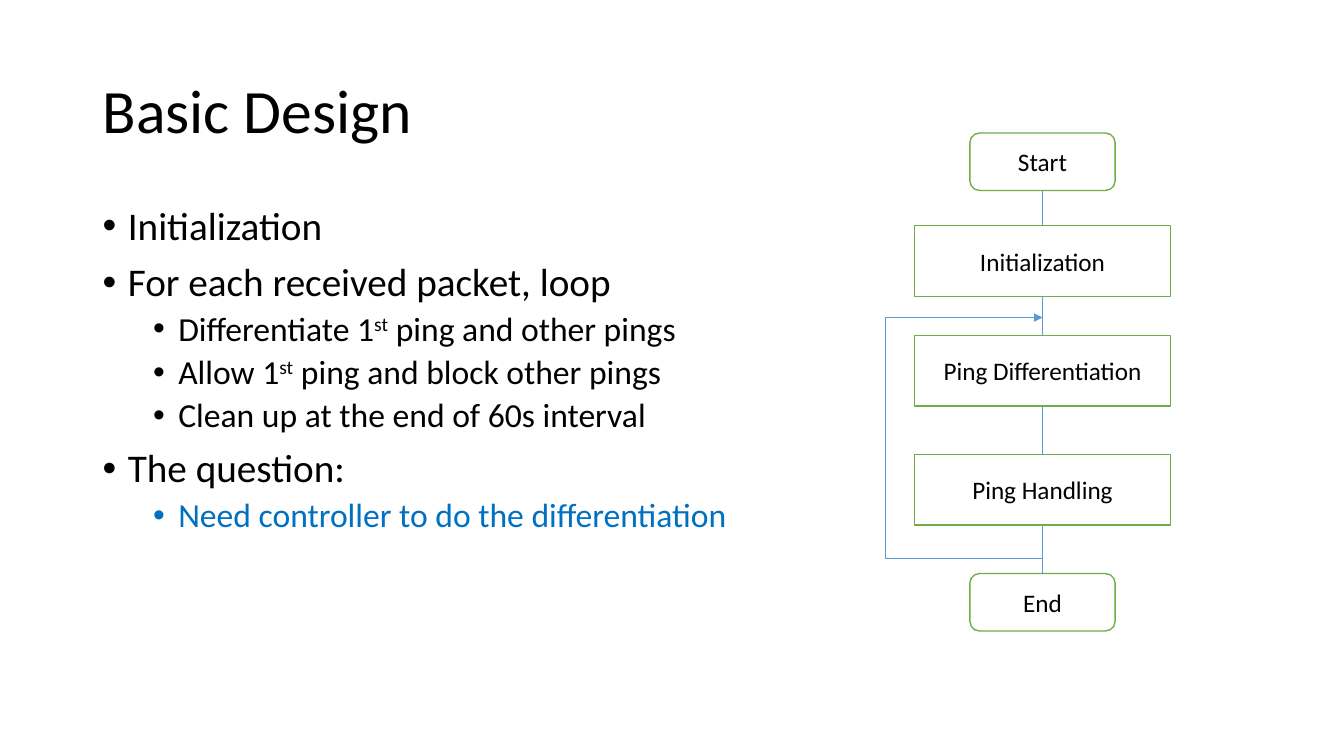
from lxml import etree
from pptx import Presentation
from pptx.dml.color import RGBColor
from pptx.enum.shapes import MSO_CONNECTOR, MSO_SHAPE
from pptx.enum.text import MSO_ANCHOR, PP_ALIGN
from pptx.oxml.ns import qn
from pptx.util import Inches, Pt

RECT, ROUNDED = MSO_SHAPE.RECTANGLE, MSO_SHAPE.ROUNDED_RECTANGLE
STRAIGHT = MSO_CONNECTOR.STRAIGHT
MIDDLE, TOP = MSO_ANCHOR.MIDDLE, MSO_ANCHOR.TOP
LEFT, CENTER = PP_ALIGN.LEFT, PP_ALIGN.CENTER


class Theme:
    """Colours, font and sizes of the slide."""
    font = "Calibri"
    bullet_font = "Arial"
    ink, accent = "000000", "0070C0"
    node_fill, node_line, flow = "FFFFFF", "70AD47", "5B9BD5"
    title_size, step_size = 44, 18
    level_size = (28, 24)
    level_space = (10, 5)
    level_indent = (0.25, 0.75)
    node_width, flow_width = 1, 0.5


TITLE = "Basic Design"
# Level, text, colour; ^...^ marks a superscript
POINTS = [
    (0, "Initialization", Theme.ink),
    (0, "For each received packet, loop", Theme.ink),
    (1, "Differentiate 1^st^ ping and other pings", Theme.ink),
    (1, "Allow 1^st^ ping and block other pings", Theme.ink),
    (1, "Clean up at the end of 60s interval", Theme.ink),
    (0, "The question:", Theme.ink),
    (1, "Need controller to do the differentiation", Theme.accent),
]
TERMINAL = (ROUNDED, 1.44, 0.57)
PROCESS = (RECT, 2.54, 0.7)
STEPS = [
    ("Start", TERMINAL, 1.32),
    ("Initialization", PROCESS, 2.24),
    ("Ping Differentiation", PROCESS, 3.33),
    ("Ping Handling", PROCESS, 4.51),
    ("End", TERMINAL, 5.69),
]
FLOW_X = 10.34
LOOP_X, LOOP_TOP, LOOP_BOTTOM = 8.78, 3.15, 5.54


def write(paragraph, text, *, size, color=Theme.ink, align=LEFT, spacing=1.0, before=0):
    """Fill a paragraph, raising the parts between ^ marks."""
    paragraph.alignment = align
    paragraph.line_spacing = spacing
    paragraph.space_before = Pt(before)
    for index, part in enumerate(text.split("^")):
        run = paragraph.add_run()
        run.text = part
        run.font.name = Theme.font
        run.font.size = Pt(size)
        run.font.color.rgb = RGBColor.from_string(color)
        if index % 2:
            run.font._element.set("baseline", "30000")


def add_bullet(paragraph, level):
    """Give a paragraph a hanging bullet at its level."""
    paragraph.level = level
    properties = paragraph._p.get_or_add_pPr()
    properties.set("marL", str(Inches(Theme.level_indent[level])))
    properties.set("indent", str(-Inches(0.25)))
    etree.SubElement(properties, qn("a:buFont"), typeface=Theme.bullet_font)
    etree.SubElement(properties, qn("a:buChar"), char="•")


def add_text_frame(slide, left, top, width, height, anchor):
    """Add a wrapping text box and return its frame."""
    box = slide.shapes.add_textbox(Inches(left), Inches(top), Inches(width), Inches(height))
    box.text_frame.word_wrap = True
    box.text_frame.vertical_anchor = anchor
    return box.text_frame


def add_step(slide, label, kind, top):
    """Add one flowchart node centred on the flow line."""
    outline, width, height = kind
    node = slide.shapes.add_shape(outline, Inches(FLOW_X - width / 2), Inches(top),
                                  Inches(width), Inches(height))
    node.shadow.inherit = False
    node.fill.solid()
    node.fill.fore_color.rgb = RGBColor.from_string(Theme.node_fill)
    node.line.color.rgb = RGBColor.from_string(Theme.node_line)
    node.line.width = Pt(Theme.node_width)
    node.text_frame.word_wrap = True
    node.text_frame.vertical_anchor = MIDDLE
    write(node.text_frame.paragraphs[0], label, size=Theme.step_size, align=CENTER)


def add_flow(slide, start, end, arrow=False):
    """Draw a thin flow line, with an arrowhead at its end on request."""
    line = slide.shapes.add_connector(STRAIGHT, *map(Inches, start + end))
    line.line.color.rgb = RGBColor.from_string(Theme.flow)
    line.line.width = Pt(Theme.flow_width)
    if arrow:
        etree.SubElement(line.line._get_or_add_ln(), qn("a:tailEnd"), type="triangle")
    etree.SubElement(line._element.spPr, qn("a:effectLst"))


def build():
    """Build and save the slide."""
    deck = Presentation()
    deck.slide_width, deck.slide_height = Inches(13.33), Inches(7.5)
    slide = deck.slides.add_slide(deck.slide_layouts[6])

    title = add_text_frame(slide, 0.92, 0.4, 11.5, 1.45, MIDDLE)
    write(title.paragraphs[0], TITLE, size=Theme.title_size, spacing=0.9)

    body = add_text_frame(slide, 0.92, 2, 11.5, 4.76, TOP)
    for index, (level, text, color) in enumerate(POINTS):
        point = body.add_paragraph() if index else body.paragraphs[0]
        write(point, text, size=Theme.level_size[level], color=color,
              spacing=0.9, before=Theme.level_space[level])
        add_bullet(point, level)

    for step in STEPS:
        add_step(slide, *step)
    for (_, (_, _, height), top), (_, _, next_top) in zip(STEPS, STEPS[1:]):
        add_flow(slide, (FLOW_X, top + height), (FLOW_X, next_top))

    loop = [(FLOW_X, LOOP_BOTTOM), (LOOP_X, LOOP_BOTTOM), (LOOP_X, LOOP_TOP), (FLOW_X, LOOP_TOP)]
    for start, end in zip(loop, loop[1:]):
        add_flow(slide, start, end, arrow=end == loop[-1])

    deck.save("out.pptx")


build()
